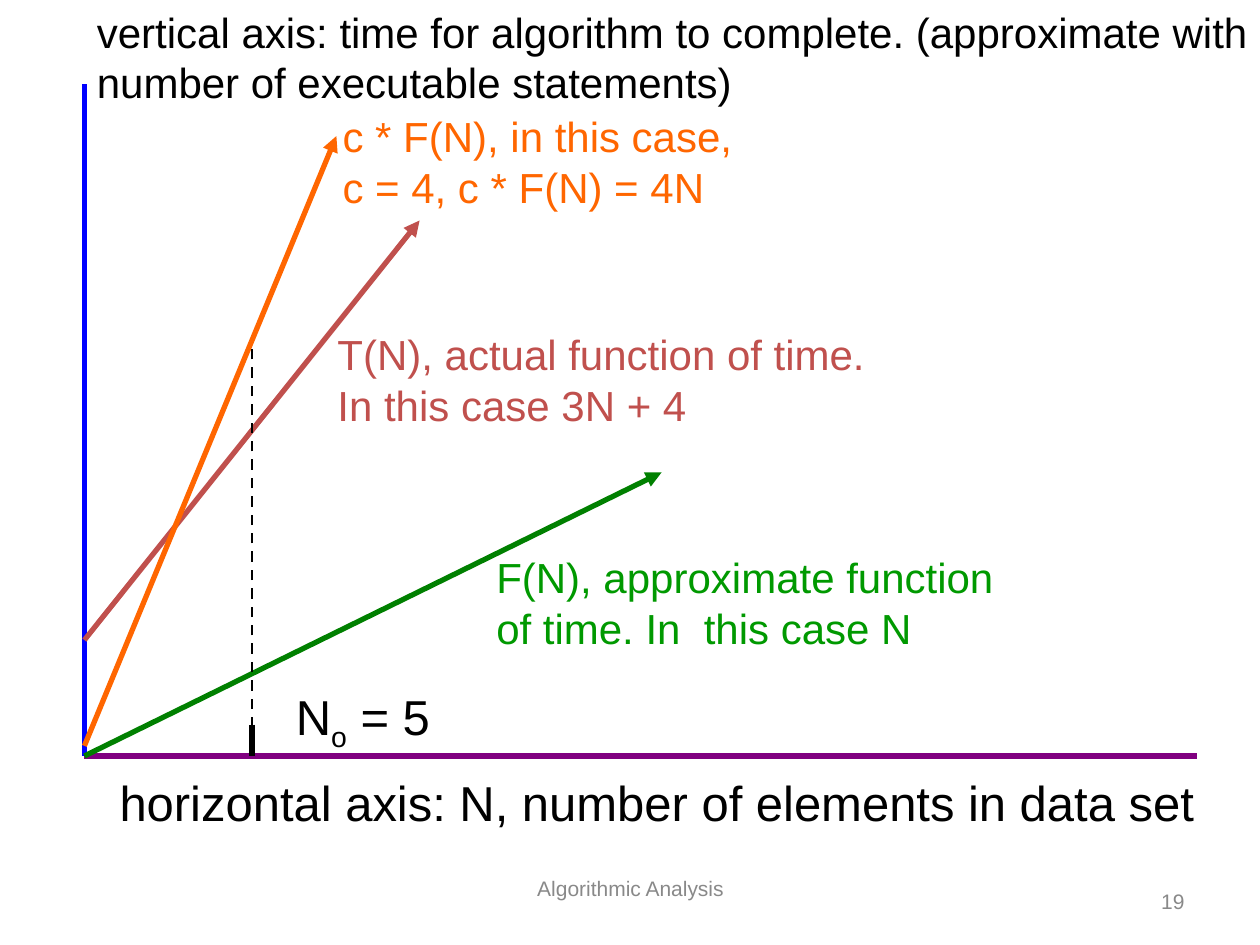
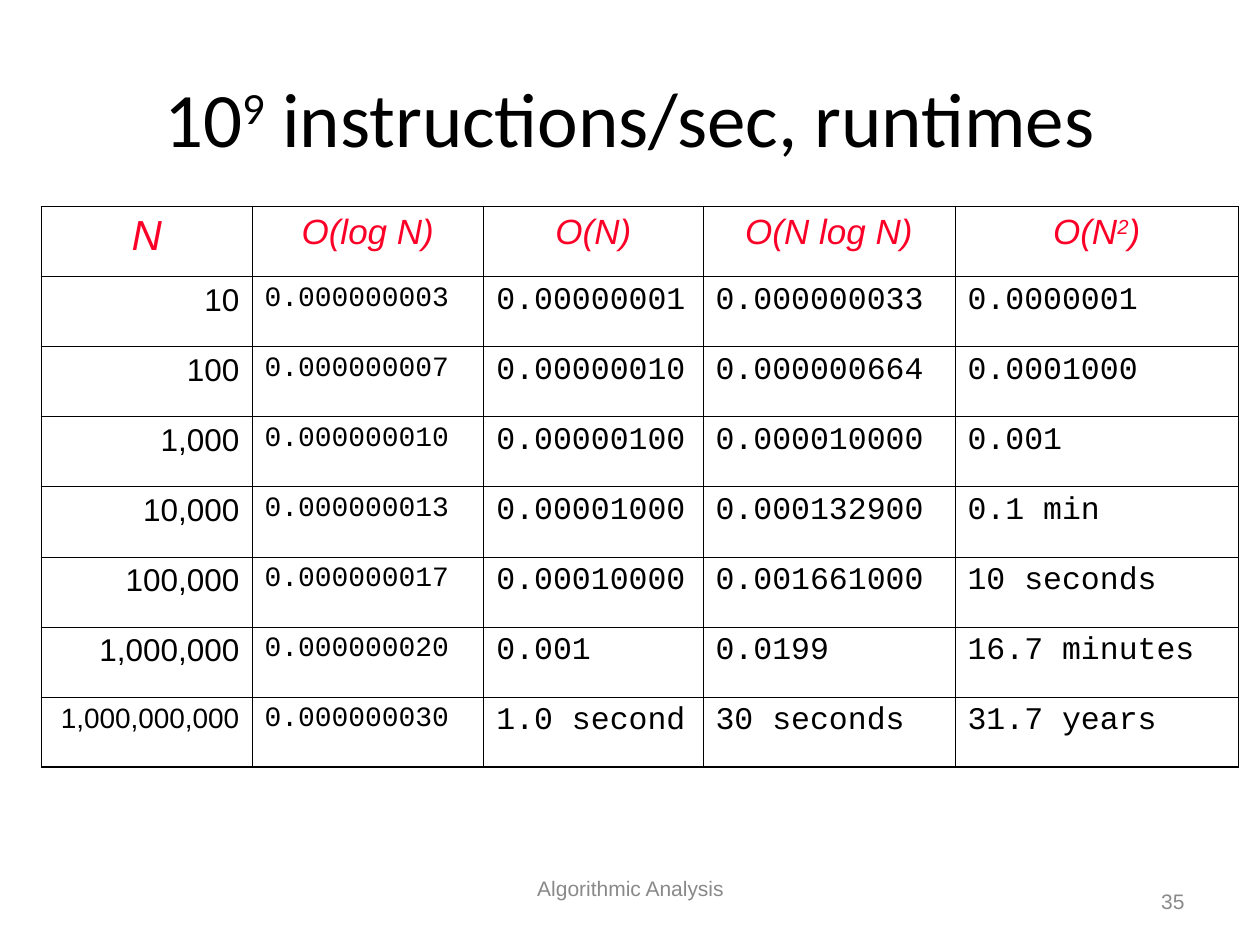
from lxml import etree
from pptx import Presentation
from pptx.dml.color import RGBColor
from pptx.enum.dml import MSO_LINE
from pptx.enum.shapes import MSO_CONNECTOR
from pptx.enum.text import MSO_ANCHOR, MSO_AUTO_SIZE, PP_ALIGN
from pptx.oxml.ns import qn
from pptx.util import Inches, Pt

# Shared style
BLACK = RGBColor(0x00, 0x00, 0x00)
GRAY = RGBColor(0x89, 0x89, 0x89)
PURPLE = RGBColor(0x80, 0x00, 0x80)
BLUE = RGBColor(0x00, 0x00, 0xFF)
BRICK = RGBColor(0xC0, 0x50, 0x4D)
DARK_GREEN = RGBColor(0x00, 0x80, 0x00)
GREEN = RGBColor(0x00, 0x99, 0x00)
ORANGE = RGBColor(0xFF, 0x66, 0x00)
RED = RGBColor(0xFC, 0x01, 0x28)
SANS, MONO, HEADING = "Arial", "Courier New", "Calibri"
LEFT, CENTER, RIGHT = PP_ALIGN.LEFT, PP_ALIGN.CENTER, PP_ALIGN.RIGHT
TOP, MIDDLE = MSO_ANCHOR.TOP, MSO_ANCHOR.MIDDLE
FIT_SHAPE = MSO_AUTO_SIZE.SHAPE_TO_FIT_TEXT
STRAIGHT = MSO_CONNECTOR.STRAIGHT
DASH = MSO_LINE.DASH
SUPER, SUB = 30, -25

FOOTER = "Algorithmic Analysis"

# Growth chart: start, end, colour, width, arrow, dashed
ORIGIN = (0.67, 6)
CHART_LINES = [
    (ORIGIN, (9.5, 6), PURPLE, 3, False, False),
    (ORIGIN, (0.67, 0.67), BLUE, 3, False, False),
    ((0.67, 5.08), (3.33, 1.75), BRICK, 3, True, False),
    (ORIGIN, (5.25, 3.75), DARK_GREEN, 3, True, False),
    ((2, 5.75), (2, 6), BLACK, 3, False, False),
    ((0.67, 5.92), (2.67, 1.08), ORANGE, 3, True, False),
    ((2, 5.92), (2, 2.75), BLACK, 1.5, False, True),
]

# Chart labels: box, runs with baseline shift, size, colour, space before
CHART_LABELS = [
    ((0.85, 6.08, 8.75, 0.57),
     [("horizontal axis: N, number of elements in data set", 0)], 28, BLACK, 7),
    ((0.67, 0, 9.45, 0.9),
     [("vertical axis: time for algorithm to complete. (approximate with \n"
       "number of executable statements)", 0)], 24, BLACK, 6),
    ((2.58, 2.56, 4.5, 0.9),
     [("T(N), actual function of time. \nIn this case 3N + 4", 0)], 24, BRICK, 6),
    ((3.84, 4.33, 4.25, 0.9),
     [("F(N), approximate function \nof time. In  this case N", 0)], 24, GREEN, 6),
    ((2.25, 5.4, 1.37, 0.63),
     [("N", 0), ("o", SUB), (" = 5", 0)], 28, BLACK, 7),
    ((2.62, 0.83, 3.41, 0.9),
     [("c * F(N), in this case, \nc = 4, c * F(N) = 4N", 0)], 24, ORANGE, 6),
]

# Runtime table
RUNTIME_TITLE = [("10", 0), ("9", SUPER), (" instructions/sec, runtimes", 0)]
RUNTIME_HEADS = [
    [("N", 0)],
    [("O(log N)", 0)],
    [("O(N)", 0)],
    [("O(N log N)", 0)],
    [("O(N", 0), ("2", SUPER), (")", 0)],
]
RUNTIMES = [
    ("10", "0.000000003", "0.00000001", "0.000000033", "0.0000001"),
    ("100", "0.000000007", "0.00000010", "0.000000664", "0.0001000"),
    ("1,000", "0.000000010", "0.00000100", "0.000010000", "0.001"),
    ("10,000", "0.000000013", "0.00001000", "0.000132900", "0.1 min"),
    ("100,000", "0.000000017", "0.00010000", "0.001661000", "10 seconds"),
    ("1,000,000", "0.000000020", "0.001", "0.0199", "16.7 minutes"),
    ("1,000,000,000", "0.000000030", "1.0 second", "30 seconds", "31.7 years"),
]
COLUMN_WIDTHS = [1.67, 1.84, 1.74, 2, 2.25]
TABLE_HEIGHT = 4.45
OUTER_BORDER, INNER_BORDER = 1.08, 0.45


def write(tf, runs, size, color, font=SANS, align=LEFT, before=0, italic=False):
    p = tf.paragraphs[0]
    p.alignment = align
    p.space_before = Pt(before)
    for text, baseline in runs:
        for i, line in enumerate(text.split("\n")):
            if i:
                p.add_line_break()
            r = p.add_run()
            r.text = line
            r.font.name = font
            r.font.size = Pt(size)
            r.font.color.rgb = color
            r.font.italic = italic
            if baseline:
                r.font._element.set("baseline", str(baseline * 1000))


def add_text(s, box, runs, size, color, anchor=TOP, wrap=True, top=0.05, **style):
    tf = s.shapes.add_textbox(*map(Inches, box)).text_frame
    tf.word_wrap = wrap
    tf.vertical_anchor = anchor
    tf.margin_top = Inches(top)
    if not wrap:
        tf.auto_size = FIT_SHAPE
    write(tf, runs, size, color, **style)


def add_line(s, start, end, color, width, arrow, dashed):
    line = s.shapes.add_connector(STRAIGHT, *map(Inches, start + end))
    line.line.color.rgb = color
    line.line.width = Pt(width)
    if dashed:
        line.line.dash_style = DASH
    if arrow:
        ln = line.line._get_or_add_ln()
        etree.SubElement(ln, qn("a:tailEnd"), type="triangle")
    etree.SubElement(line._element.spPr, qn("a:effectLst"))


def set_borders(cell, outer_sides):
    tcPr = cell._tc.get_or_add_tcPr()
    for side in "LRTB":
        width = OUTER_BORDER if side in outer_sides else INNER_BORDER
        ln = etree.SubElement(tcPr, qn(f"a:ln{side}"), w=str(Pt(width)))
        fill = etree.SubElement(ln, qn("a:solidFill"))
        etree.SubElement(fill, qn("a:srgbClr"), val=str(BLACK))


def add_slide(prs, number):
    s = prs.slides.add_slide(prs.slide_layouts[6])
    add_text(s, (3.42, 6.95, 3.17, 0.4), [(FOOTER, 0)], 12, GRAY,
             top=0, align=CENTER)
    add_text(s, (7.17, 6.95, 2.33, 0.4), [(str(number), 0)], 12, GRAY,
             anchor=MIDDLE, align=RIGHT, before=3)
    return s


def build_growth_chart(prs):
    s = add_slide(prs, 19)
    for line in CHART_LINES:
        add_line(s, *line)
    for box, runs, size, color, before in CHART_LABELS:
        add_text(s, box, runs, size, color, wrap=False, before=before)


def build_runtime_table(prs):
    s = add_slide(prs, 35)
    add_text(s, (0.5, 0.3, 9, 1.25), RUNTIME_TITLE, 44, BLACK,
             anchor=MIDDLE, font=HEADING, align=CENTER)

    rows = [RUNTIME_HEADS] + [[[(v, 0)] for v in row] for row in RUNTIMES]
    last_row, last_col = len(rows) - 1, len(COLUMN_WIDTHS) - 1
    table = s.shapes.add_table(
        len(rows), len(COLUMN_WIDTHS), Inches(0.33), Inches(1.64),
        Inches(sum(COLUMN_WIDTHS)), Inches(TABLE_HEIGHT)).table
    table.first_row = table.horz_banding = False
    for column, width in zip(table.columns, COLUMN_WIDTHS):
        column.width = Inches(width)

    for i, row in enumerate(rows):
        for j, runs in enumerate(row):
            cell = table.cell(i, j)
            outer = [side for side, on_edge in zip(
                "LRTB", (j == 0, j == last_col, i == 0, i == last_row)) if on_edge]
            set_borders(cell, outer)
            cell.fill.background()
            if i == 0:
                size, color, font, align = 24 if j == 0 else 20, RED, SANS, CENTER
            else:
                small = j == 1 or (i == last_row and j == 0)
                size, color = 16 if small else 18, BLACK
                font, align = (SANS, RIGHT) if j == 0 else (MONO, LEFT)
            write(cell.text_frame, runs, size, color, font, align,
                  before=size / 4, italic=i == 0)


def main():
    prs = Presentation()
    prs.slide_width, prs.slide_height = Inches(10), Inches(7.5)
    build_growth_chart(prs)
    build_runtime_table(prs)
    prs.save("out.pptx")


if __name__ == "__main__":
    main()
